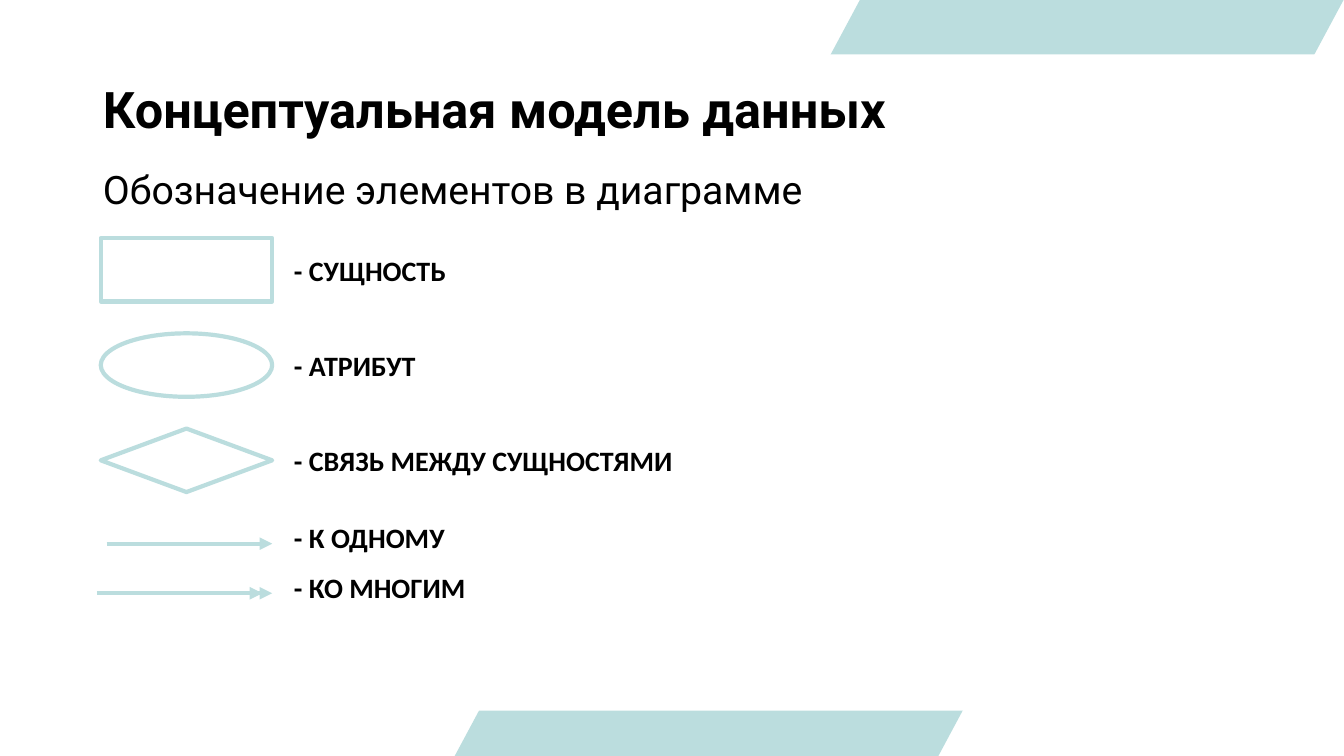
from lxml import etree
from pptx import Presentation
from pptx import util as u
from pptx.dml.color import RGBColor
from pptx.enum import shapes, text
from pptx.oxml.ns import qn

MINT = RGBColor(0xBB, 0xDD, 0xDE)
WHITE = RGBColor(0xFF, 0xFF, 0xFF)
BLACK = RGBColor(0, 0, 0)
SLIDE_WIDTH, SLIDE_HEIGHT = u.Cm(33.87), u.Cm(19.05)


def add_run(paragraph, content, font_name, size, bold=False):
    run = paragraph.add_run()
    run.text = content
    run.font.name = font_name
    run.font.size = u.Pt(size)
    run.font.bold = bold
    run.font.color.rgb = BLACK


def add_background(slide):
    """Slanted band, covered in the middle by a white panel."""
    band = slide.shapes.add_shape(
        shapes.MSO_SHAPE.PARALLELOGRAM, u.Cm(11.46), 0, u.Cm(22.4), SLIDE_HEIGHT)
    band.adjustments[0] = 0.536
    panel = slide.shapes.add_shape(
        shapes.MSO_SHAPE.RECTANGLE, 0, u.Cm(1.37), SLIDE_WIDTH, u.Cm(16.54))
    # Behind the placeholders, band first
    tree = band.element.getparent()
    for position, (shape, color) in enumerate(((band, MINT), (panel, WHITE)), start=2):
        shape.shadow.inherit = False
        shape.fill.solid()
        shape.fill.fore_color.rgb = color
        shape.line.fill.background()
        tree.insert(position, shape.element)


def fill_placeholder(placeholder, box, content, size, bold, spacing, anchor):
    placeholder.left, placeholder.top, placeholder.width, placeholder.height = box
    frame = placeholder.text_frame
    frame.word_wrap = True
    frame.auto_size = text.MSO_AUTO_SIZE.NONE
    frame.vertical_anchor = anchor
    paragraph = frame.paragraphs[0]
    paragraph.alignment = text.PP_ALIGN.LEFT
    paragraph.line_spacing = spacing
    paragraph.space_before = u.Pt(0)
    add_run(paragraph, content, "Roboto", size, bold)
    # No bullet and no indent
    properties = paragraph._p.get_or_add_pPr()
    properties.set("marL", "0")
    properties.set("indent", "0")
    etree.SubElement(properties, qn("a:buNone"))


def add_headings(slide, left, top, width):
    fill_placeholder(slide.shapes.title, (left, top, width, u.Cm(2.21)),
                     "Концептуальная модель данных", 36, True, 0.9,
                     text.MSO_ANCHOR.MIDDLE)
    fill_placeholder(slide.placeholders[1],
                     (left, top + u.Cm(2.54), width, u.Cm(1.24)),
                     "Обозначение элементов в диаграмме", 28, False, 0.8,
                     text.MSO_ANCHOR.TOP)


def add_symbol(slide, kind, left, middle):
    height = u.Cm(1.6)
    symbol = slide.shapes.add_shape(
        kind, left, middle - height // 2, u.Cm(4.32), height)
    symbol.shadow.inherit = False
    symbol.fill.background()
    symbol.line.color.rgb = MINT
    symbol.line.width = u.Pt(3)


def add_arrow(slide, left, y):
    arrow = slide.shapes.add_connector(
        shapes.MSO_CONNECTOR.STRAIGHT, left, y, left + u.Cm(4.17), y)
    arrow.line.color.rgb = MINT
    arrow.line.width = u.Pt(3)
    etree.SubElement(arrow.line._get_or_add_ln(), qn("a:tailEnd"), type="triangle")
    etree.SubElement(arrow.element.spPr, qn("a:effectLst"))


def add_label(slide, content, left, middle):
    height = u.Cm(1.12)
    label = slide.shapes.add_textbox(left, middle - height // 2, u.Cm(11.68), height)
    frame = label.text_frame
    frame.word_wrap = True
    frame.auto_size = text.MSO_AUTO_SIZE.SHAPE_TO_FIT_TEXT
    frame.vertical_anchor = text.MSO_ANCHOR.MIDDLE
    add_run(frame.paragraphs[0], content, "Calibri", 20, True)


def add_legend(slide, left, top):
    label_left = left + u.Cm(4.62)

    # Outlined symbols
    symbols = (
        (shapes.MSO_SHAPE.RECTANGLE, "- СУЩНОСТЬ"),
        (shapes.MSO_SHAPE.OVAL, "- АТРИБУТ"),
        (shapes.MSO_SHAPE.DIAMOND, "- СВЯЗЬ МЕЖДУ СУЩНОСТЯМИ"),
    )
    for row, (kind, content) in enumerate(symbols):
        middle = top + u.Cm(0.8 + 2.4 * row)
        add_symbol(slide, kind, left, middle)
        add_label(slide, content, label_left, middle)

    # Arrows: a single head means one, a double head means many
    arrows = (
        ("- К ОДНОМУ", (0.15,)),
        ("- КО МНОГИМ", (0.15, -0.1)),
    )
    for row, (content, offsets) in enumerate(arrows):
        middle = top + u.Cm(7.54 + 1.25 * row)
        for offset in offsets:
            add_arrow(slide, left + u.Cm(offset), middle + u.Cm(0.16))
        add_label(slide, content, label_left, middle)


def main():
    presentation = Presentation()
    presentation.slide_width, presentation.slide_height = SLIDE_WIDTH, SLIDE_HEIGHT
    slide = presentation.slides.add_slide(presentation.slide_layouts[1])
    add_background(slide)
    add_headings(slide, u.Cm(2.34), u.Cm(1.73), u.Cm(29.24))
    add_legend(slide, u.Cm(2.54), u.Cm(6))
    presentation.save("out.pptx")


if __name__ == "__main__":
    main()
